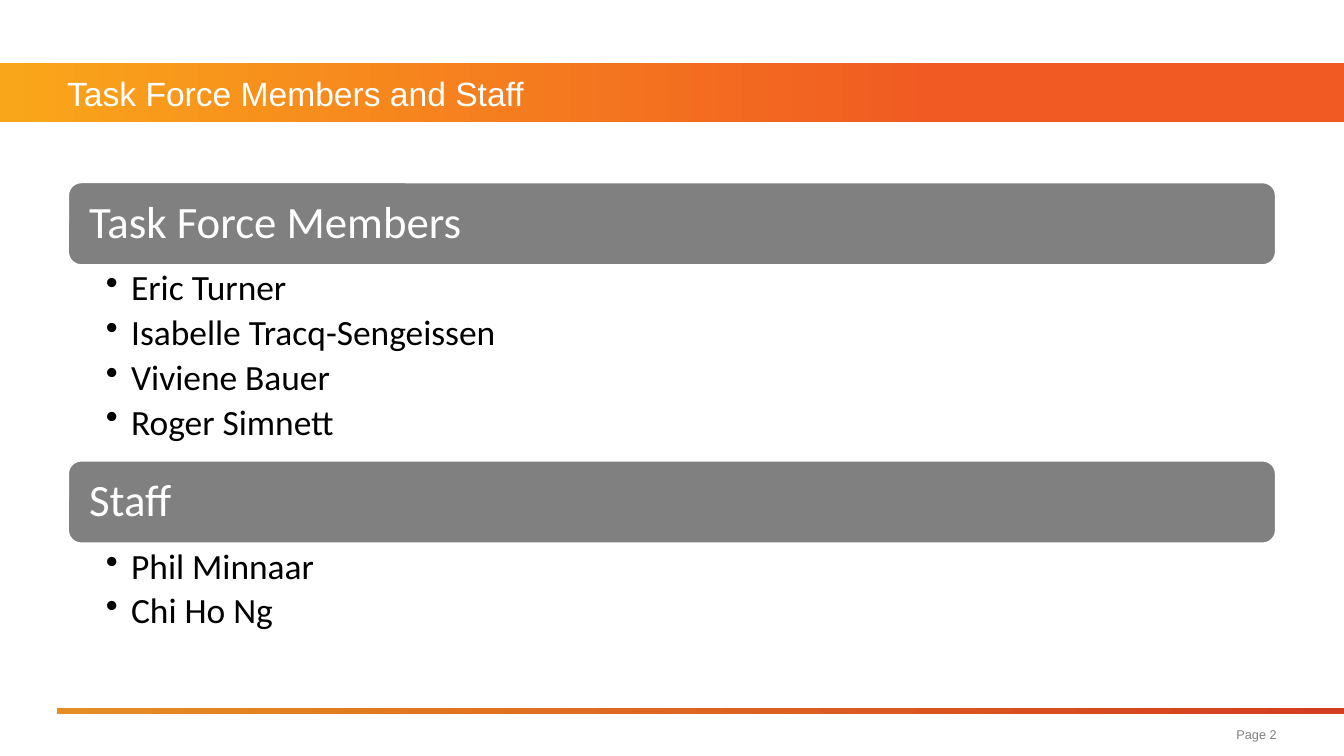
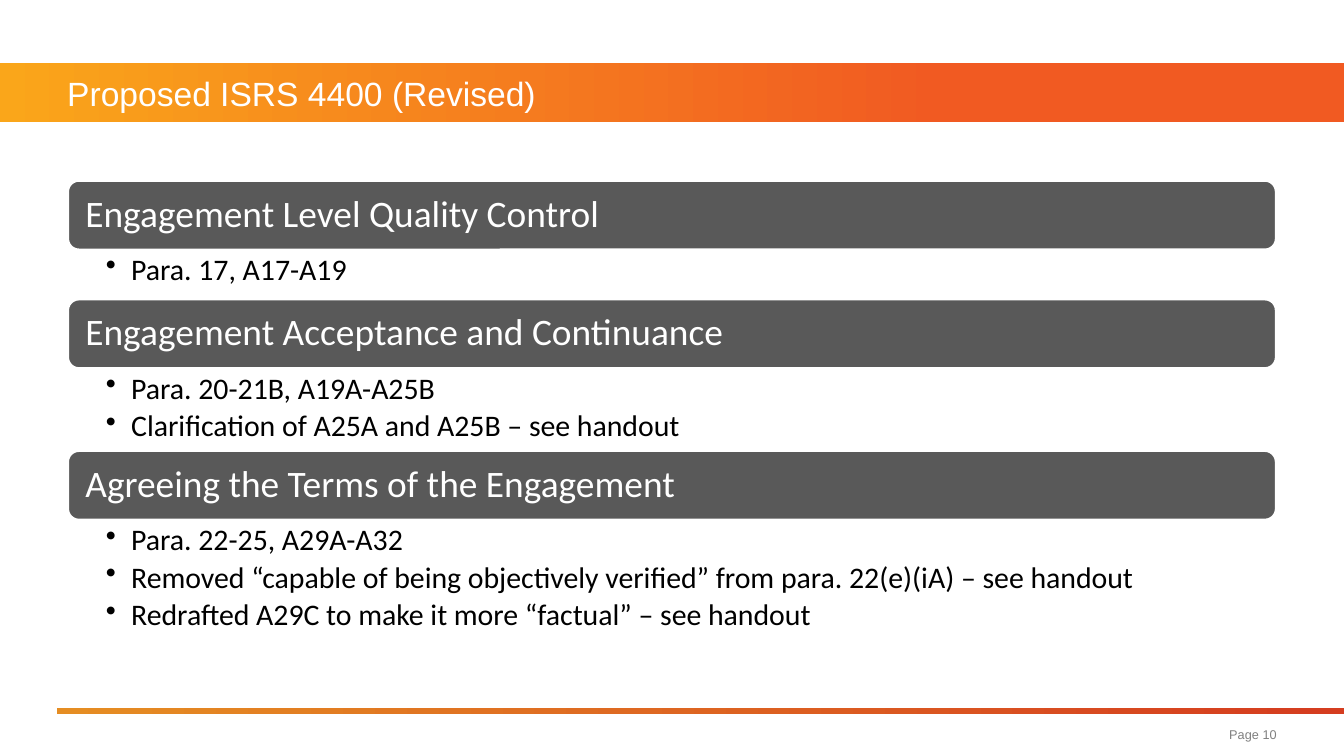
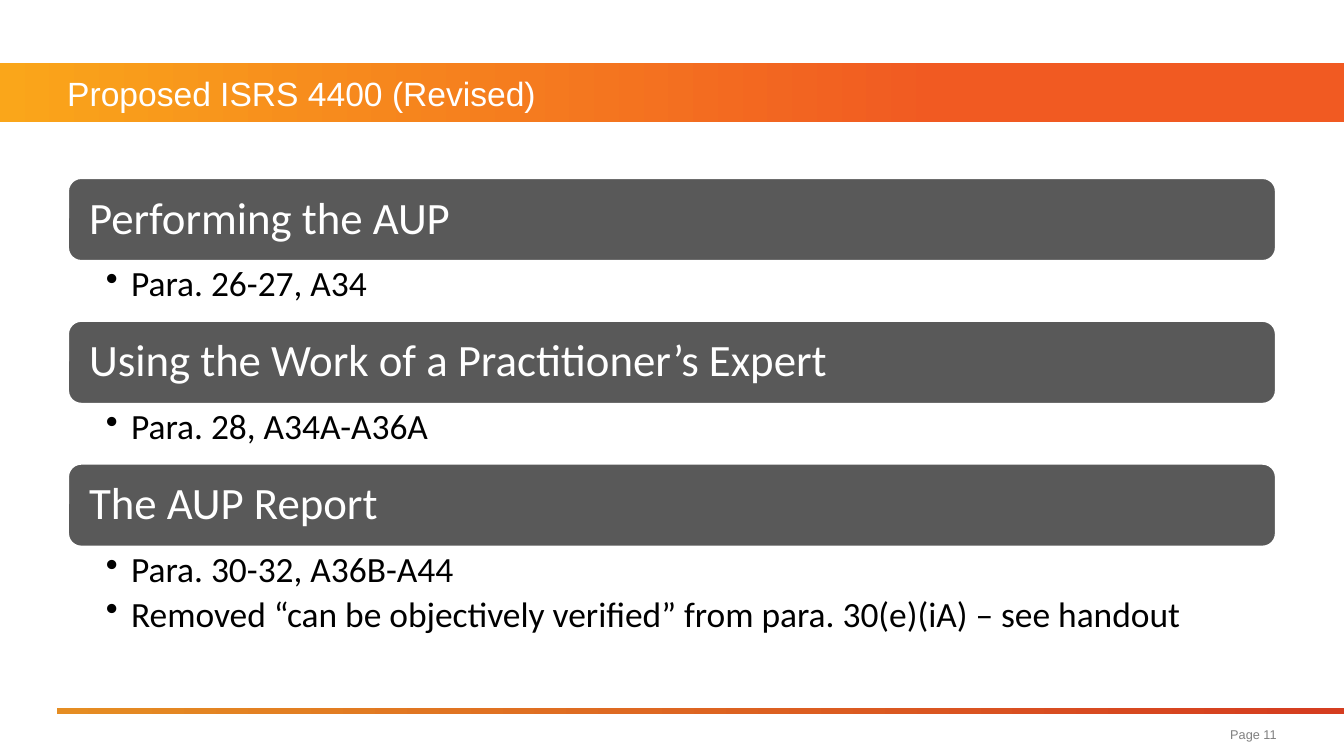
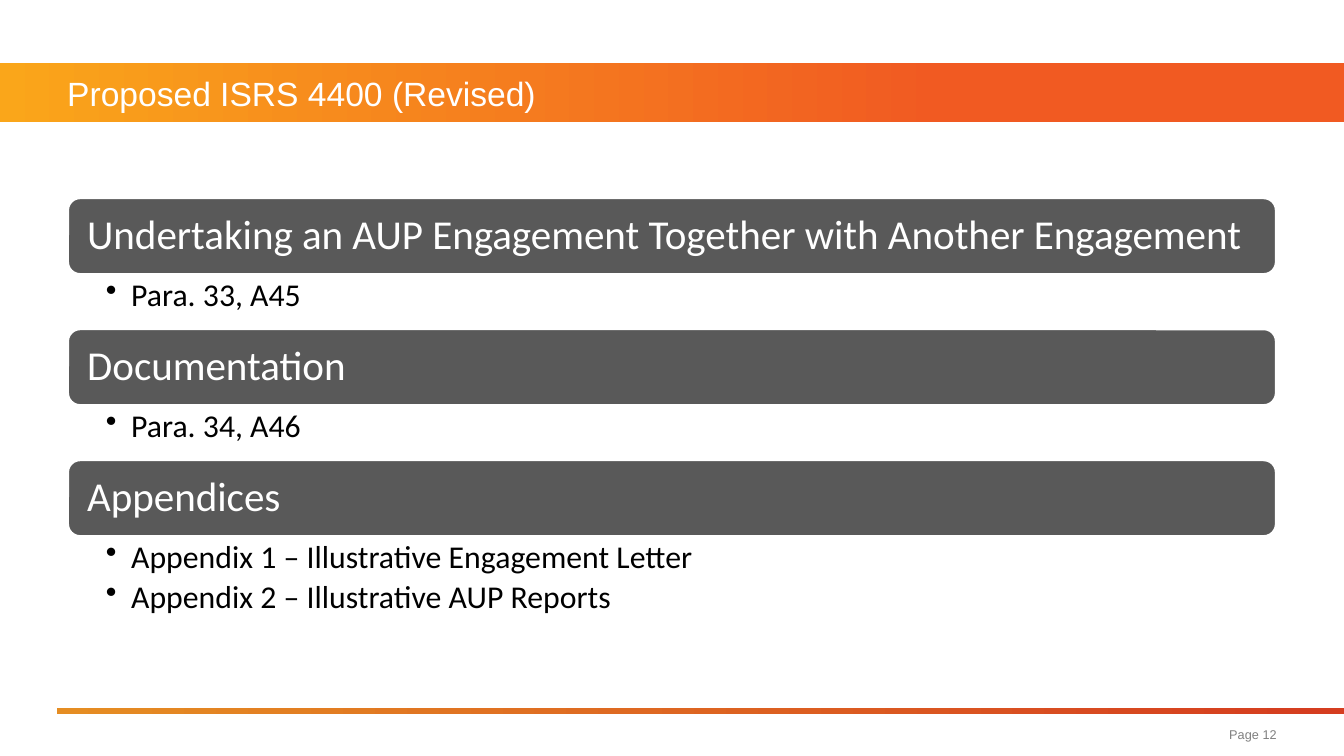
from lxml import etree
from pptx import Presentation
from pptx.dml.color import RGBColor
from pptx.enum.shapes import MSO_SHAPE
from pptx.enum.text import MSO_ANCHOR, PP_ALIGN
from pptx.oxml.ns import qn
from pptx.util import Cm, Pt

RECTANGLE = MSO_SHAPE.RECTANGLE
ROUNDED = MSO_SHAPE.ROUNDED_RECTANGLE
TOP, MIDDLE = MSO_ANCHOR.TOP, MSO_ANCHOR.MIDDLE
LEFT, RIGHT = PP_ALIGN.LEFT, PP_ALIGN.RIGHT

WHITE, BLACK = "FFFFFF", "000000"
GREY, DARK_GREY = "808080", "595959"
BAND_STOPS = [(0, "FAA61A"), (0.7, "F15A22")]
RULE_STOPS = [(0, "E58D23"), (0.99, "D53D20")]

PAGE_WIDTH, PAGE_HEIGHT = 25.4, 14.29
BAND_BOX = (0, 1.19, PAGE_WIDTH, 1.12)
RULE_BOX = (1.07, 13.39, 24.33, 0.1)
TITLE_BOX = (1.27, 1.19, 22.86, 1.12)
NUMBER_BOX = (16.46, 13.56, 7.67, 0.64)
CONTENT_LEFT, CONTENT_WIDTH = 1.27, 22.86

REVISED = "Proposed ISRS 4400 (Revised)"

# Each section: heading, height of its list in cm, list items.
PAGES = [
    dict(title="Task Force Members and Staff", number=2, top=3.43, size=24, colour=GREY, sections=[
        ("Task Force Members", 3.66,
         ["Eric Turner", "Isabelle Tracq-Sengeissen", "Viviene Bauer", "Roger Simnett"]),
        ("Staff", 1.84, ["Phil Minnaar", "Chi Ho Ng"]),
    ]),
    dict(title=REVISED, number=10, top=3.4, size=20, colour=DARK_GREY, sections=[
        ("Engagement Level Quality Control", 0.91, ["Para. 17, A17-A19"]),
        ("Engagement Acceptance and Continuance", 1.53,
         ["Para. 20-21B, A19A-A25B", "Clarification of A25A and A25B – see handout"]),
        ("Agreeing the Terms of the Engagement", 2.31,
         ["Para. 22-25, A29A-A32",
          "Removed “capable of being objectively verified” from para. 22(e)(iA) – see handout",
          "Redrafted A29C to make it more “factual” – see handout"]),
    ]),
    dict(title=REVISED, number=11, top=3.35, size=24, colour=DARK_GREY, sections=[
        ("Performing the AUP", 1.1, ["Para. 26-27, A34"]),
        ("Using the Work of a Practitioner’s Expert", 1.1, ["Para. 28, A34A-A36A"]),
        ("The AUP Report", 1.84,
         ["Para. 30-32, A36B-A44",
          "Removed “can be objectively verified” from para. 30(e)(iA) – see handout"]),
    ]),
    dict(title=REVISED, number=12, top=3.73, size=22, colour=DARK_GREY, sections=[
        ("Undertaking an AUP Engagement Together with Another Engagement", 1.01, ["Para. 33, A45"]),
        ("Documentation", 1.01, ["Para. 34, A46"]),
        ("Appendices", 1.65,
         ["Appendix 1 – Illustrative Engagement Letter", "Appendix 2 – Illustrative AUP Reports"]),
    ]),
]


def colour_of(code):
    return RGBColor.from_string(code)


def lengths(box):
    return [Cm(value) for value in box]


def set_frame(frame, margins=(0, 0, 0, 0), anchor=MIDDLE):
    frame.word_wrap = True
    frame.vertical_anchor = anchor
    (frame.margin_left, frame.margin_top,
     frame.margin_right, frame.margin_bottom) = lengths(margins)


def set_para(para, text, font, size, colour, align=LEFT):
    para.text = text
    para.alignment = align
    para.font.name = font
    para.font.size = Pt(size)
    para.font.color.rgb = colour_of(colour)


def add_bullet(para, indent):
    properties = para._p.get_or_add_pPr()
    properties.set("marL", str(Cm(indent)))
    properties.set("indent", str(-Cm(indent)))
    etree.SubElement(properties, qn("a:buChar")).set("char", "•")


def add_gradient_bar(page, box, stops):
    bar = page.shapes.add_shape(RECTANGLE, *lengths(box))
    bar.shadow.inherit = False
    bar.line.fill.background()
    bar.fill.gradient()
    bar.fill.gradient_angle = 0
    for stop, (position, code) in zip(bar.fill.gradient_stops, stops):
        stop.position = position
        stop.color.rgb = colour_of(code)
    return bar


def move_bars_to_layout(page, layout):
    tree = layout.shapes.element
    for box, stops in ((BAND_BOX, BAND_STOPS), (RULE_BOX, RULE_STOPS)):
        tree.insert(2, add_gradient_bar(page, box, stops).element)


def place_title(page, text):
    title = page.shapes.title
    title.left, title.top, title.width, title.height = lengths(TITLE_BOX)
    set_frame(title.text_frame)
    set_para(title.text_frame.paragraphs[0], text, "Arial", 18, WHITE)


def add_page_number(page, number):
    frame = page.shapes.add_textbox(*lengths(NUMBER_BOX)).text_frame
    set_frame(frame)
    set_para(frame.paragraphs[0], f"Page {number}", "Arial", 6.8, GREY, RIGHT)


def add_heading(page, box, text, size, colour):
    heading = page.shapes.add_shape(ROUNDED, *lengths(box))
    heading.shadow.inherit = False
    heading.fill.solid()
    heading.fill.fore_color.rgb = colour_of(colour)
    heading.line.color.rgb = colour_of(WHITE)
    heading.line.width = Pt(2)
    margin = size * 0.014
    set_frame(heading.text_frame, (margin,) * 4)
    para = heading.text_frame.paragraphs[0]
    set_para(para, text, "Calibri", size, WHITE)
    para.line_spacing = 0.9


def add_list(page, box, items, size):
    frame = page.shapes.add_textbox(*lengths(box)).text_frame
    set_frame(frame, (0.73, 0.08, 0.45, 0.08), TOP)
    for index, item in enumerate(items):
        para = frame.add_paragraph() if index else frame.paragraphs[0]
        add_bullet(para, 0.48)
        set_para(para, item, "Calibri", size, BLACK)
        para.line_spacing = 0.9
        para.space_after = Pt(size * 0.18)


def add_sections(page, top, size, colour, sections):
    heading_height = size / 15
    for heading, list_height, items in sections:
        add_heading(page, (CONTENT_LEFT, top, CONTENT_WIDTH, heading_height), heading, size, colour)
        top += heading_height
        add_list(page, (CONTENT_LEFT, top, CONTENT_WIDTH, list_height), items, round(size * 0.78))
        top += list_height


def main():
    deck = Presentation()
    deck.slide_width, deck.slide_height = Cm(PAGE_WIDTH), Cm(PAGE_HEIGHT)
    layout = deck.slide_layouts[5]
    for index, content in enumerate(PAGES):
        page = deck.slides.add_slide(layout)
        if index == 0:
            move_bars_to_layout(page, layout)
        place_title(page, content["title"])
        add_sections(page, content["top"], content["size"], content["colour"], content["sections"])
        add_page_number(page, content["number"])
    deck.save("out.pptx")


if __name__ == "__main__":
    main()
